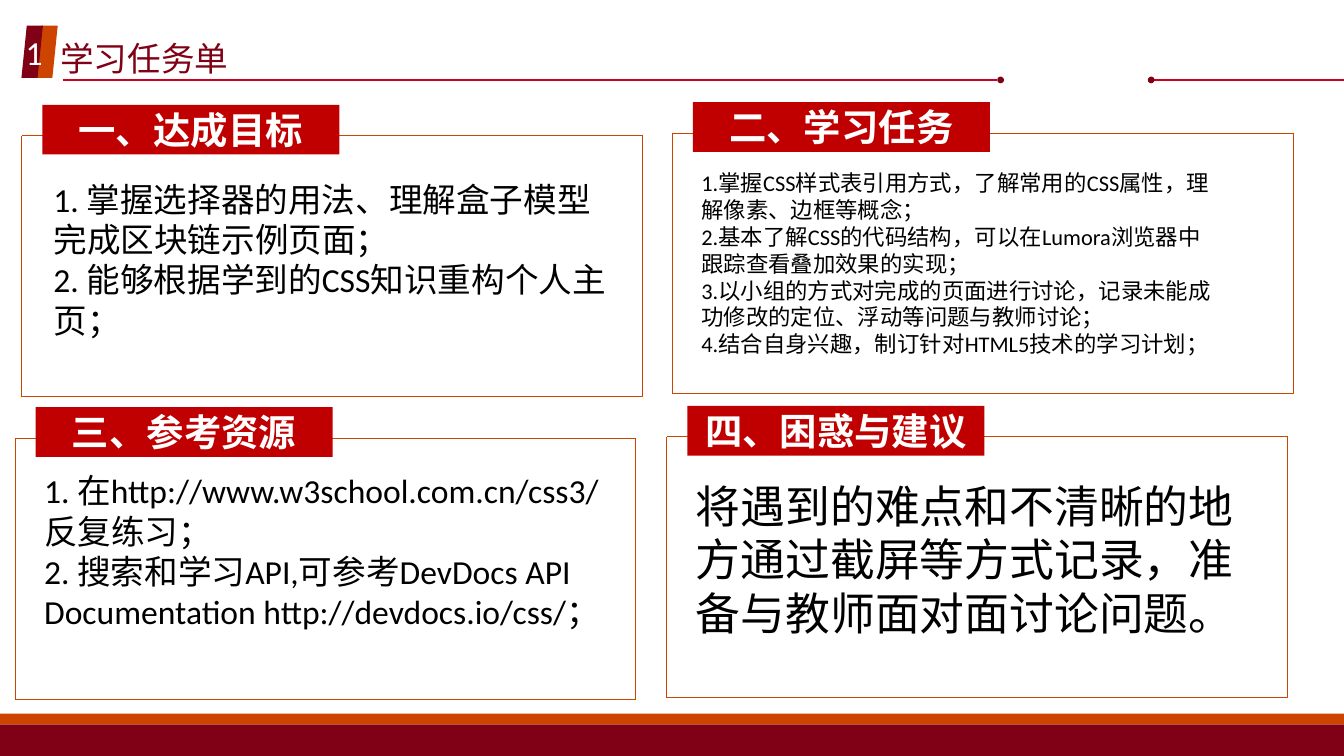
from lxml.etree import SubElement
from pptx import Presentation
from pptx.dml.color import RGBColor
from pptx.enum.dml import MSO_LINE as Dash
from pptx.enum.shapes import MSO_CONNECTOR as Conn, MSO_SHAPE as Kind
from pptx.enum.text import MSO_ANCHOR as Anchor, PP_ALIGN as Align
from pptx.oxml.ns import qn
from pptx.util import Inches, Pt

CELL = Inches(0.1)
COLS, ROWS = 100, 56.25
HAN, LATIN = "Noto Sans CJK SC", "Calibri"
WINE, RUST, RED, ROSE = "800015", "CC4400", "C00000", "CC0022"

PANELS = [
    ((1.6, 10.1, 46.2, 19.4), "一、达成目标", (1.4, 2.7, 43.3, 13), 18, LATIN, [
        "1. 掌握选择器的用法、理解盒子模型完成区块链示例页面；",
        "2. 能够根据学到的CSS知识重构个人主页；"]),
    ((50, 9.9, 46.2, 19.4), "二、学习任务", (1.2, 2.2, 40.2, 15), 12, LATIN, [
        "1.掌握CSS样式表引用方式，了解常用的CSS属性，理解像素、边框等概念；",
        "2.基本了解CSS的代码结构，可以在Lumora浏览器中跟踪查看叠加效果的实现；",
        "3.以小组的方式对完成的页面进行讨论，记录未能成功修改的定位、浮动等问题与教师讨论；",
        "4.结合自身兴趣，制订针对HTML5技术的学习计划；"]),
    ((1.1, 32.6, 46.2, 19.4), "三、参考资源", (1.2, 1.9, 45.5, 13), 18, LATIN, [
        "1. 在http://www.w3school.com.cn/css3/ 反复练习；",
        "2. 搜索和学习API,可参考DevDocs API Documentation http://devdocs.io/css/；"]),
    ((49.6, 32.5, 46.2, 19.4), "四、困惑与建议", (1.2, 2.6, 43.8, 13), 24, HAN, [
        "将遇到的难点和不清晰的地方通过截屏等方式记录，准备与教师面对面讨论问题。"]),
]


def paint(code):
    """Turn a hex string into a colour."""
    return RGBColor.from_string(code)


def grid(*cells):
    """Turn grid cells into lengths."""
    return [round(n * CELL) for n in cells]


def write(frame, lines, size, face, tint, bold=False, align=Align.LEFT):
    """Fill a text frame with one paragraph per line."""
    frame.text = "\n".join(lines)
    for para in frame.paragraphs:
        para.alignment = align
        font = para.font
        font.size, font.bold, font.name = Pt(size), bold, face
        font.color.rgb = paint(tint)
        props = para._p.pPr
        props.set("hangingPunct", "0")
        SubElement(props[-1], qn("a:ea")).set("typeface", HAN)


def shape(slide, kind, box, fill=None):
    """Add a flat shape without a line."""
    item = slide.shapes.add_shape(kind, *grid(*box))
    item.shadow.inherit = False
    item.line.fill.background()
    if fill:
        item.fill.solid()
        item.fill.fore_color.rgb = paint(fill)
    else:
        item.fill.background()
    return item


def label(item, text, size, face, bold=False):
    """Centre white text in a shape."""
    item.text_frame.vertical_anchor = Anchor.MIDDLE
    write(item.text_frame, [text], size, face, "FFFFFF", bold, Align.CENTER)


def note(slide, box, lines, size, face, tint, wrap=True):
    """Add a text box."""
    frame = slide.shapes.add_textbox(*grid(*box)).text_frame
    frame.word_wrap = wrap
    write(frame, lines, size, face, tint)


def rule(slide, left, right, y):
    """Draw a level line."""
    line = slide.shapes.add_connector(Conn.STRAIGHT, *grid(left, y, right, y))
    line.line.color.rgb = paint(ROSE)
    line.line.width = Pt(1)
    SubElement(line._element.spPr, qn("a:effectLst"))


def header(slide, box, mark, title):
    """Place the numbered mark, the title and the split rule."""
    x, y, w, h = box
    base = y + h + 0.15
    rule(slide, x + 3.1, x + 72.6, base)
    rule(slide, x + 84.3, x + w, base)
    for dot in (72.6, 83.8):
        shape(slide, Kind.OVAL, (x + dot, base - 0.25, 0.5, 0.5), WINE)
    note(slide, (x + 1.9, y + 0.4, 14.5, 4), [title], 18, HAN, WINE, False)
    for shift, fill in ((1.1, RUST), (0, WINE)):
        tag = shape(slide, Kind.PARALLELOGRAM, (x + shift, y, 1.6, h), fill)
    label(tag, mark, 18, LATIN)


def footer(slide, box):
    """Place the two bands at the foot."""
    x, y, w, h = box
    shape(slide, Kind.RECTANGLE, (x, y + 0.8, w, h - 0.8), WINE)
    shape(slide, Kind.RECTANGLE, (x, y, w, 0.8), RUST)


def panel(slide, box, title, inner, size, face, lines):
    """Place a dashed frame with its text and its title tag."""
    x, y, w, h = box
    edge = shape(slide, Kind.RECTANGLE, box).line
    edge.color.rgb = paint(RUST)
    edge.width = Pt(0.25)
    edge.dash_style = Dash.ROUND_DOT
    dx, dy, wide, high = inner
    note(slide, (x + dx, y + dy, wide, high), lines, size, face, "000000")
    tag = shape(slide, Kind.RECTANGLE, (x + 1.55, y - 2.3, 22.1, 3.7), RED)
    label(tag, title, 20, HAN, True)


def main():
    """Build and save the slide."""
    deck = Presentation()
    deck.slide_width, deck.slide_height = grid(COLS, ROWS)
    slide = deck.slides.add_slide(deck.slide_layouts[6])
    header(slide, (1.6, 1.9, COLS - 1.6, 3.9), "1", "学习任务单")
    footer(slide, (0, ROWS - 3.15, COLS, 3.15))
    for part in PANELS:
        panel(slide, *part)
    deck.save("out.pptx")


if __name__ == "__main__":
    main()
